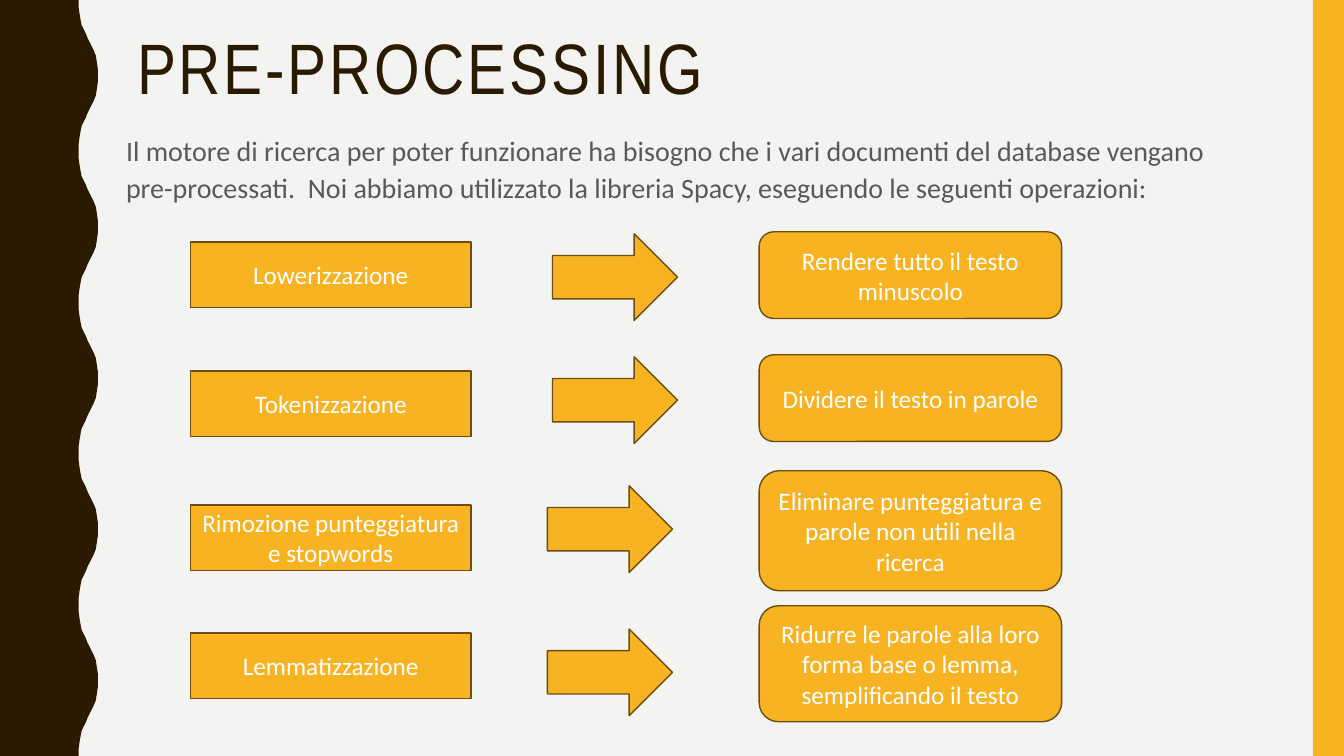
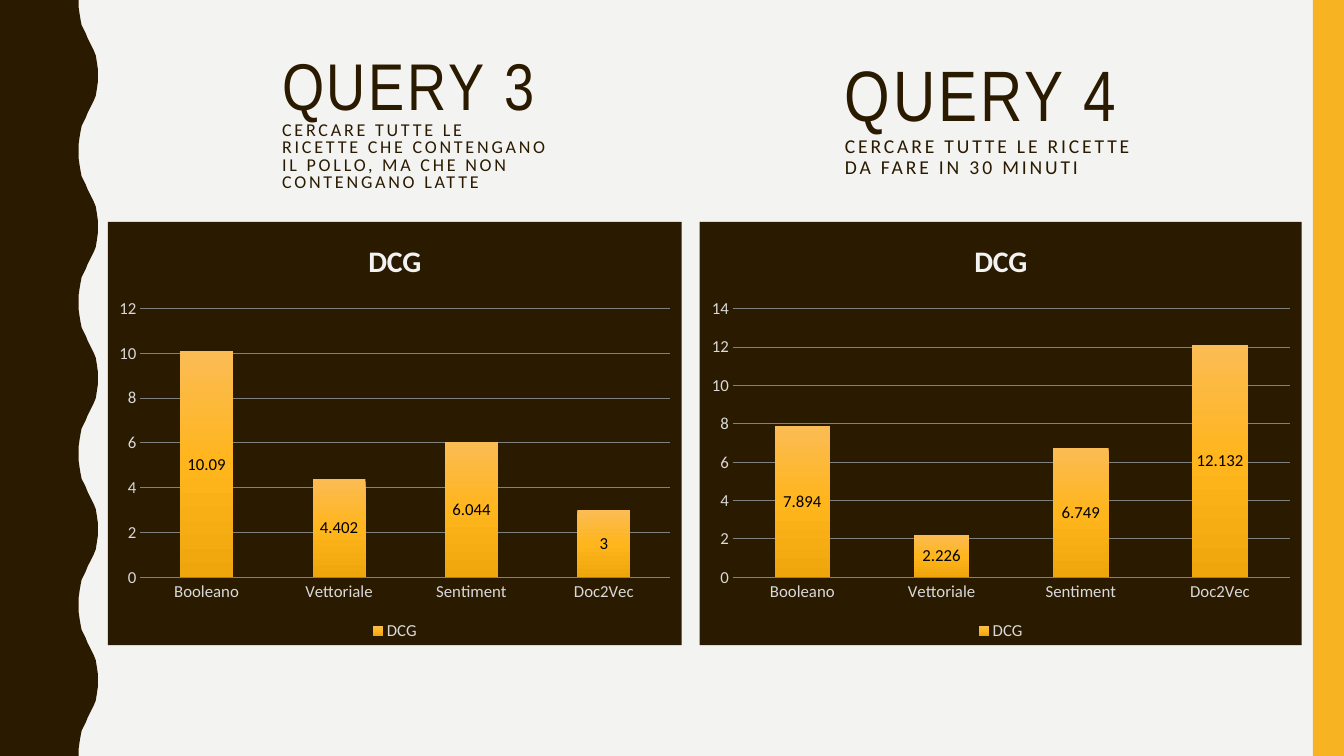
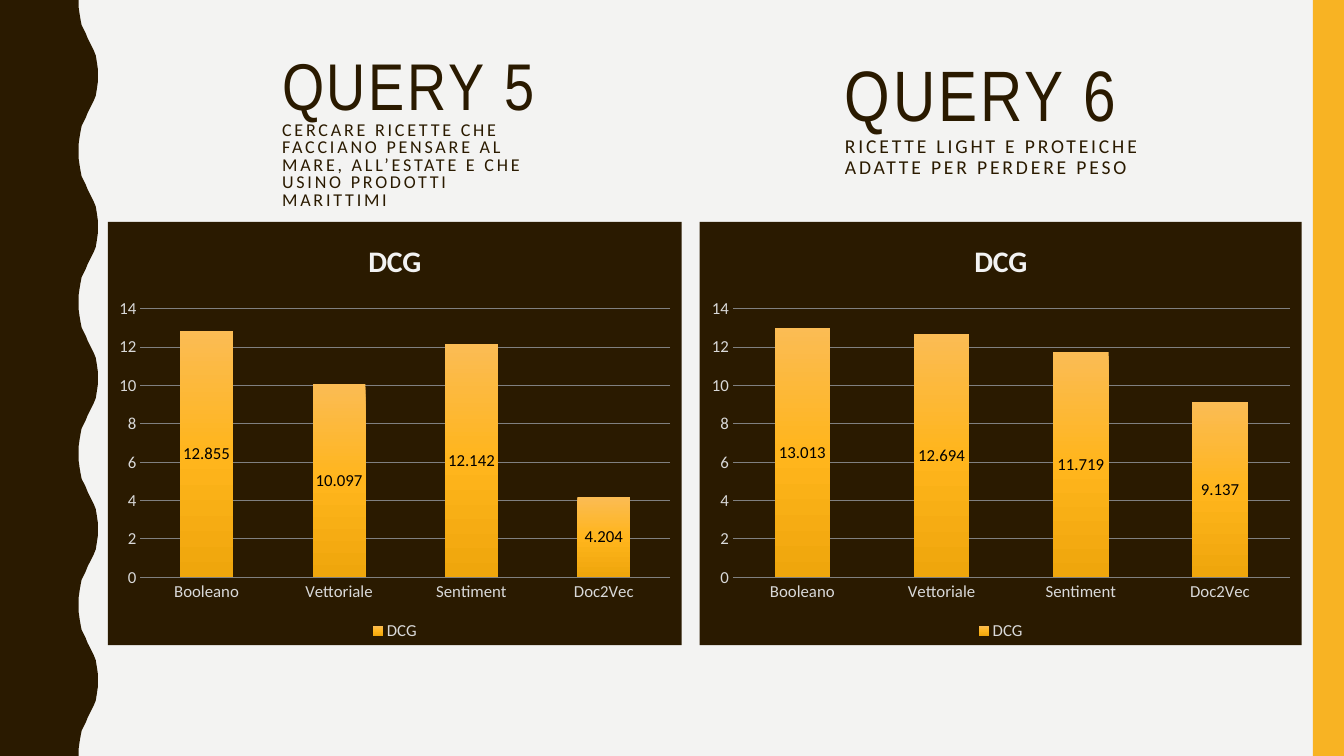
from dataclasses import dataclass

from pptx import Presentation
from pptx.chart.data import CategoryChartData
from pptx.dml.color import RGBColor
from pptx.enum.chart import XL_CHART_TYPE, XL_LABEL_POSITION, XL_LEGEND_POSITION, XL_TICK_MARK
from pptx.enum.shapes import MSO_SHAPE
from pptx.enum.text import MSO_ANCHOR, MSO_AUTO_SIZE, PP_ALIGN
from pptx.oxml import parse_xml
from pptx.oxml.ns import nsdecls, qn
from pptx.util import Inches, Pt


@dataclass(frozen=True)
class Theme:
    background: str = "F3F3F2"
    dark: str = "2A1A00"
    accent: str = "F8B323"
    outline: str = "6D4E0F"
    body: str = "595959"
    white: str = "FFFFFF"
    label: str = "000000"
    axis: str = "D9D9D9"
    grid: str = "808080"
    chart_title: str = "F2F2F2"
    gradient: tuple = ((0, "FBBC54"), (50, "FFB51C"), (100, "EFA60C"))
    heading_font: str = "Arial Narrow"
    text_font: str = "Calibri"
    title_size: float = 51
    caption_size: float = 14
    small_title_size: float = 47.2
    small_caption_size: float = 12.9
    body_size: float = 20
    shape_size: float = 18
    chart_size: float = 12
    chart_title_size: float = 21.3


THEME = Theme()
WIDTH, HEIGHT = 13.33, 7.5
BAND_WIDTH = 0.31
WAVE_PERIOD = 1.5
WAVE_RISE = [
    (0.78, 0), (0.78, 0.07), (0.79, 0.14), (0.8, 0.2), (0.81, 0.25),
    (0.83, 0.29), (0.85, 0.33), (0.87, 0.38), (0.89, 0.42), (0.91, 0.46),
    (0.93, 0.5), (0.95, 0.55), (0.96, 0.61), (0.97, 0.68), (0.97, 0.75),
]

INTRO = (
    "Il motore di ricerca per poter funzionare ha bisogno che i vari documenti del database "
    "vengano pre-processati.  Noi abbiamo utilizzato la libreria Spacy, eseguendo le seguenti operazioni:"
)
STEP_LEFT, STEP_WIDTH, STEP_HEIGHT = 1.89, 2.78, 0.65
ARROW_WIDTH, ARROW_HEIGHT = 1.24, 0.86
RESULT_LEFT, RESULT_WIDTH = 7.53, 3
STEPS = [
    {"step": "Lowerizzazione", "top": 2.4, "arrow": (5.48, 2.32),
     "result": "Rendere tutto il testo minuscolo", "result_top": 2.3, "result_height": 0.86},
    {"step": "Tokenizzazione", "top": 3.68, "arrow": (5.48, 3.54),
     "result": "Dividere il testo in parole", "result_top": 3.52, "result_height": 0.86},
    {"step": "Rimozione punteggiatura e stopwords", "top": 5.01, "arrow": (5.43, 4.82),
     "result": "Eliminare punteggiatura e parole non utili nella ricerca",
     "result_top": 4.67, "result_height": 1.19},
    {"step": "Lemmatizzazione", "top": 6.28, "arrow": (5.43, 6.24),
     "result": "Ridurre le parole alla loro forma base o lemma, semplificando il testo",
     "result_top": 6.01, "result_height": 1.15},
]

MODELS = ["Booleano", "Vettoriale", "Sentiment", "Doc2Vec"]
LEFT_HEADING, RIGHT_HEADING = (2.7, 0.54, 2.86, 1.63), (8.28, 0.54, 3.29, 1.63)
LEFT_CHART, RIGHT_CHART = (1.07, 2.2, 5.69, 4.2), (6.94, 2.2, 5.97, 4.2)
QUERY_SLIDES = [
    [
        ("QUERY 3", "CERCARE TUTTE LE RICETTE CHE CONTENGANO IL POLLO, MA CHE NON CONTENGANO LATTE",
         (10.09, 4.402, 6.044, 3)),
        ("QUERY 4", "CERCARE TUTTE LE RICETTE DA FARE IN 30 MINUTI",
         (7.894, 2.226, 6.749, 12.132)),
    ],
    [
        ("QUERY 5", "CERCARE RICETTE CHE FACCIANO PENSARE AL MARE, ALL’ESTATE E CHE USINO PRODOTTI MARITTIMI",
         (12.855, 10.097, 12.142, 4.204)),
        ("QUERY 6", "RICETTE LIGHT E PROTEICHE ADATTE PER PERDERE PESO",
         (13.013, 12.694, 11.719, 9.137)),
    ],
]


def color(value):
    return RGBColor.from_string(value)


def box(*lengths):
    return [Inches(length) for length in lengths]


def place(shape, area):
    shape.left, shape.top, shape.width, shape.height = box(*area)


def paint(shape, fill, line=None):
    shape.shadow.inherit = False
    shape.fill.solid()
    shape.fill.fore_color.rgb = color(fill)
    if line:
        shape.line.color.rgb = color(line)
        shape.line.width = Pt(1)
    else:
        shape.line.fill.background()


def style_font(font, size, value, name=THEME.text_font, bold=False):
    font.size, font.name, font.bold = Pt(size), name, bold
    font.color.rgb = color(value)


def prepare_frame(shape):
    frame = shape.text_frame
    frame.word_wrap = True
    frame.auto_size = MSO_AUTO_SIZE.NONE
    frame.vertical_anchor = MSO_ANCHOR.TOP
    return frame


def write_heading(shape, area, text, title_size, caption_size, spacing):
    place(shape, area)
    frame = prepare_frame(shape)
    frame.text = text
    styles = [(title_size, THEME.heading_font), (caption_size, THEME.text_font)]
    runs = [run for paragraph in frame.paragraphs for run in paragraph.runs]
    for run, (size, name) in zip(runs, styles):
        style_font(run.font, size, THEME.dark, name)
        run.font._element.set("spc", "200")
    for paragraph in frame.paragraphs:
        paragraph.alignment = PP_ALIGN.LEFT
        paragraph.line_spacing = spacing


def write_title(slide, area, text):
    write_heading(slide.shapes.title, area, text, THEME.title_size, THEME.caption_size, 0.9)


def decorate_master(presentation, slide):
    master = presentation.slide_master
    master.background.fill.solid()
    master.background.fill.fore_color.rgb = color(THEME.background)
    crest = [(x, WAVE_PERIOD - y) for x, y in reversed(WAVE_RISE[:-1])]
    outline = [
        (x, y + period * WAVE_PERIOD)
        for period in range(round(HEIGHT / WAVE_PERIOD))
        for x, y in WAVE_RISE + crest[:-1]
    ] + [(WAVE_RISE[0][0], HEIGHT), (0, HEIGHT)]
    builder = slide.shapes.build_freeform(0, 0)
    builder.add_line_segments([box(*point) for point in outline], close=True)
    wave = builder.convert_to_shape()
    band = slide.shapes.add_shape(
        MSO_SHAPE.RECTANGLE, *box(WIDTH - BAND_WIDTH, 0, BAND_WIDTH, HEIGHT))
    for index, (shape, fill) in enumerate([(wave, THEME.dark), (band, THEME.accent)]):
        paint(shape, fill)
        shape.element.nvSpPr.cNvPr.set("id", str(100 + index))
        master.shapes.element.insert(2 + index, shape.element)


def add_block(slide, preset, area, text=""):
    shape = slide.shapes.add_shape(preset, *box(*area))
    paint(shape, THEME.accent, THEME.outline)
    if text:
        frame = prepare_frame(shape)
        frame.vertical_anchor = MSO_ANCHOR.MIDDLE
        frame.text = text
        paragraph = frame.paragraphs[0]
        paragraph.alignment = PP_ALIGN.CENTER
        style_font(paragraph.runs[0].font, THEME.shape_size, THEME.white)


def write_intro(shape):
    place(shape, (1.15, 1.24, 11.13, 3.93))
    frame = prepare_frame(shape)
    frame.text = INTRO
    paragraph = frame.paragraphs[0]
    paragraph.line_spacing = 1.1
    paragraph.space_before = Pt(7)
    style_font(paragraph.runs[0].font, THEME.body_size, THEME.body)
    properties = paragraph._p.get_or_add_pPr()
    properties.set("marL", "0")
    properties.set("indent", "0")
    properties.append(parse_xml(f"<a:buNone {nsdecls('a')}/>"))


def build_steps(slide):
    write_title(slide, (1.26, 0.28, 11.13, 1.63), "PRE-PROCESSING")
    write_intro(slide.placeholders[1])
    for row in STEPS:
        add_block(slide, MSO_SHAPE.RECTANGLE,
                  (STEP_LEFT, row["top"], STEP_WIDTH, STEP_HEIGHT), row["step"])
        add_block(slide, MSO_SHAPE.RIGHT_ARROW, (*row["arrow"], ARROW_WIDTH, ARROW_HEIGHT))
        add_block(slide, MSO_SHAPE.ROUNDED_RECTANGLE,
                  (RESULT_LEFT, row["result_top"], RESULT_WIDTH, row["result_height"]), row["result"])


def fill_chart(chart, series):
    chart._chartSpace.find(qn("c:chart")).addnext(parse_xml(
        f'<c:spPr {nsdecls("c", "a")}><a:solidFill><a:srgbClr val="{THEME.dark}"/></a:solidFill>'
        "<a:ln><a:noFill/></a:ln></c:spPr>"))
    stops = "".join(
        f'<a:gs pos="{position * 1000}"><a:srgbClr val="{value}"/></a:gs>'
        for position, value in THEME.gradient)
    series._element.get_or_add_spPr().append(parse_xml(
        f'<a:gradFill {nsdecls("a")} rotWithShape="1"><a:gsLst>{stops}</a:gsLst>'
        '<a:lin ang="5400000" scaled="0"/></a:gradFill>'))


def add_score_chart(slide, area, values):
    data = CategoryChartData()
    data.categories = MODELS
    data.add_series("DCG", values)
    chart = slide.shapes.add_chart(XL_CHART_TYPE.COLUMN_STACKED, *box(*area), data).chart
    style_font(chart.font, THEME.chart_size, THEME.label)

    chart.has_title = True
    chart.chart_title.include_in_layout = False
    chart.chart_title.text_frame.text = "DCG"
    title_run = chart.chart_title.text_frame.paragraphs[0].runs[0]
    style_font(title_run.font, THEME.chart_title_size, THEME.chart_title, bold=True)

    chart.has_legend = True
    chart.legend.position = XL_LEGEND_POSITION.BOTTOM
    chart.legend.include_in_layout = False
    style_font(chart.legend.font, THEME.chart_size, THEME.axis)

    for axis in (chart.category_axis, chart.value_axis):
        axis.major_tick_mark = axis.minor_tick_mark = XL_TICK_MARK.NONE
        axis.format.line.fill.background()
        style_font(axis.tick_labels.font, THEME.chart_size, THEME.axis)
    chart.value_axis.has_major_gridlines = True
    grid_line = chart.value_axis.major_gridlines.format.line
    grid_line.color.rgb = color(THEME.grid)
    grid_line.width = Pt(0.75)

    plot = chart.plots[0]
    plot.gap_width, plot.overlap, plot.vary_by_categories = 150, 100, False
    plot.has_data_labels = True
    labels = plot.data_labels
    labels.show_value = True
    labels.position = XL_LABEL_POSITION.CENTER
    style_font(labels.font, THEME.chart_size, THEME.label)
    fill_chart(chart, plot.series[0])


def build_queries(slide, queries):
    (left_name, left_caption, left_values), (right_name, right_caption, right_values) = queries
    write_title(slide, RIGHT_HEADING, f"{right_name}\v{right_caption}")
    add_score_chart(slide, LEFT_CHART, left_values)
    add_score_chart(slide, RIGHT_CHART, right_values)
    heading = slide.shapes.add_textbox(*box(*LEFT_HEADING))
    write_heading(heading, LEFT_HEADING, f"{left_name}\n{left_caption}",
                  THEME.small_title_size, THEME.small_caption_size, 0.8)


def main():
    presentation = Presentation()
    presentation.slide_width, presentation.slide_height = box(WIDTH, HEIGHT)
    content_layout, title_layout = presentation.slide_layouts[1], presentation.slide_layouts[5]
    steps_slide = presentation.slides.add_slide(content_layout)
    decorate_master(presentation, steps_slide)
    build_steps(steps_slide)
    for queries in QUERY_SLIDES:
        build_queries(presentation.slides.add_slide(title_layout), queries)
    presentation.save("out.pptx")


if __name__ == "__main__":
    main()
